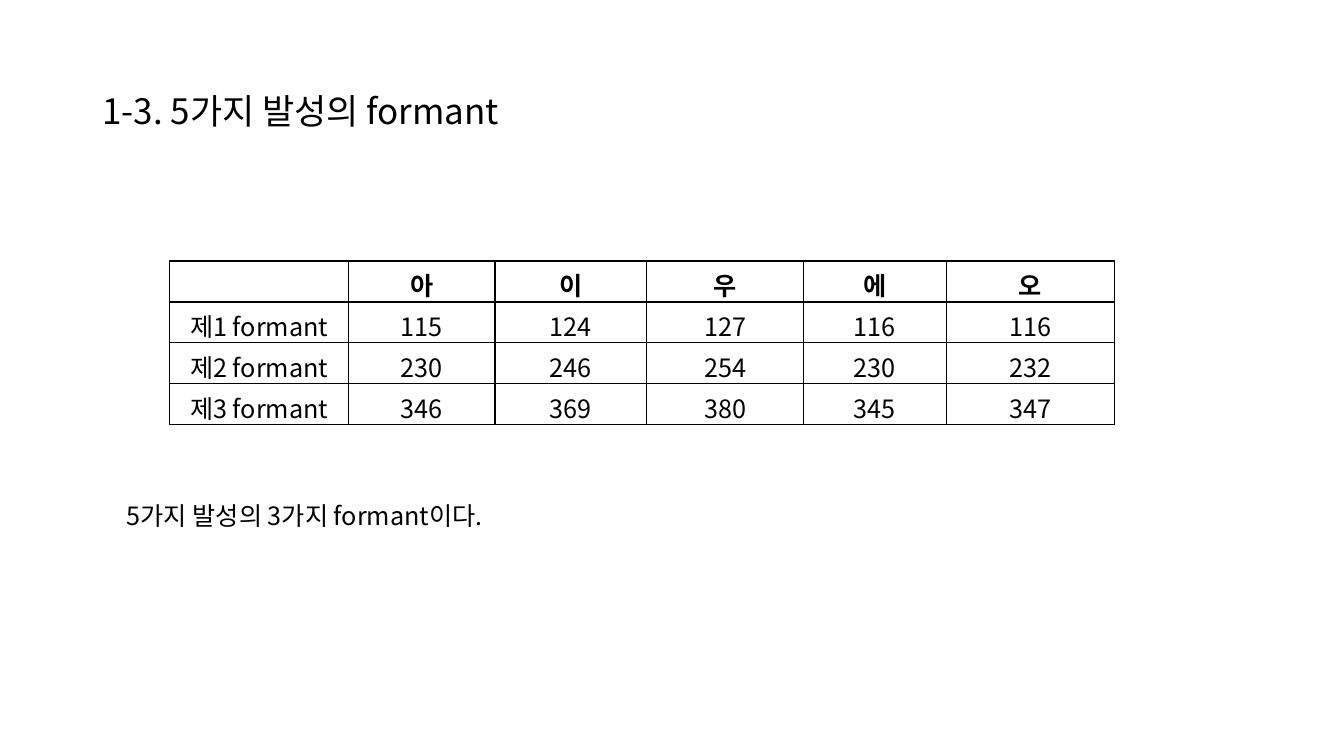
import pptx
import pptx.dml.color
import pptx.enum.text
import pptx.oxml
import pptx.oxml.ns
import pptx.util

Pt = pptx.util.Pt
PP_ALIGN = pptx.enum.text.PP_ALIGN
MSO_ANCHOR = pptx.enum.text.MSO_ANCHOR


def colour(hex_text):
    return pptx.dml.color.RGBColor.from_string(hex_text)


class FormantSlide:
    font = "Noto Sans CJK KR"
    ink = "000000"
    paper = "FFFFFF"

    def __init__(self, deck):
        self.slide = deck.slides.add_slide(deck.slide_layouts[5])

    def add_words(self, paragraph, text, size, bold=False):
        run = paragraph.add_run()
        run.text = text
        style = {"name": self.font, "size": Pt(size), "bold": bold}
        for key, value in style.items():
            setattr(run.font, key, value)
        run.font.color.rgb = colour(self.ink)
        east_asian = pptx.oxml.parse_xml(
            f'<a:ea {pptx.oxml.ns.nsdecls("a")} typeface="{self.font}"/>')
        run._r.get_or_add_rPr().append(east_asian)

    def title(self, text, left, top, width, height):
        heading = self.slide.shapes.title
        box = {"left": left, "top": top, "width": width, "height": height}
        for key, value in box.items():
            setattr(heading, key, Pt(value))
        heading.text_frame.vertical_anchor = MSO_ANCHOR.MIDDLE
        paragraph = heading.text_frame.paragraphs[0]
        paragraph.alignment = PP_ALIGN.LEFT
        paragraph.line_spacing = 0.9
        self.add_words(paragraph, text, 25)

    def text(self, text, left, top, width, height):
        box = self.slide.shapes.add_textbox(Pt(left), Pt(top), Pt(width), Pt(height))
        box.text_frame.word_wrap = True
        self.add_words(box.text_frame.paragraphs[0], text, 18)

    def border(self, cell):
        properties = cell._tc.get_or_add_tcPr()
        for position, side in enumerate(("lnL", "lnR", "lnT", "lnB")):
            properties.insert(position, pptx.oxml.parse_xml(
                f'<a:{side} {pptx.oxml.ns.nsdecls("a")} w="{Pt(1)}"><a:solidFill>'
                f'<a:srgbClr val="{self.ink}"/></a:solidFill></a:{side}>'))

    def table(self, rows, left, top, widths, row_height):
        table = self.slide.shapes.add_table(
            len(rows), len(widths), Pt(left), Pt(top),
            Pt(sum(widths)), Pt(row_height * len(rows))).table
        for column, width in zip(table.columns, widths):
            column.width = Pt(width)
        for row_index, row in enumerate(rows):
            for column_index, value in enumerate(row):
                cell = table.cell(row_index, column_index)
                cell.fill.solid()
                cell.fill.fore_color.rgb = colour(self.paper)
                self.border(cell)
                paragraph = cell.text_frame.paragraphs[0]
                paragraph.alignment = PP_ALIGN.CENTER
                if value:
                    self.add_words(paragraph, value, 18, bold=row_index == 0)


def main():
    deck = pptx.Presentation()
    deck.slide_width, deck.slide_height = Pt(960), Pt(540)
    formants = FormantSlide(deck)
    formants.title("1-3. 5가지 발성의 formant", 66, 28.75, 828, 104.4)
    formants.text("5가지 발성의 3가지 formant이다.", 83.5, 353.5, 445.7, 29)
    formants.table(
        [
            ["", "아", "이", "우", "에", "오"],
            ["제1 formant", "115", "124", "127", "116", "116"],
            ["제2 formant", "230", "246", "254", "230", "232"],
            ["제3 formant", "346", "369", "380", "345", "347"],
        ],
        121, 186.5, [128.2, 104.4, 108.4, 111.8, 102.2, 120.2], 29.2)
    deck.save("out.pptx")


if __name__ == "__main__":
    main()
